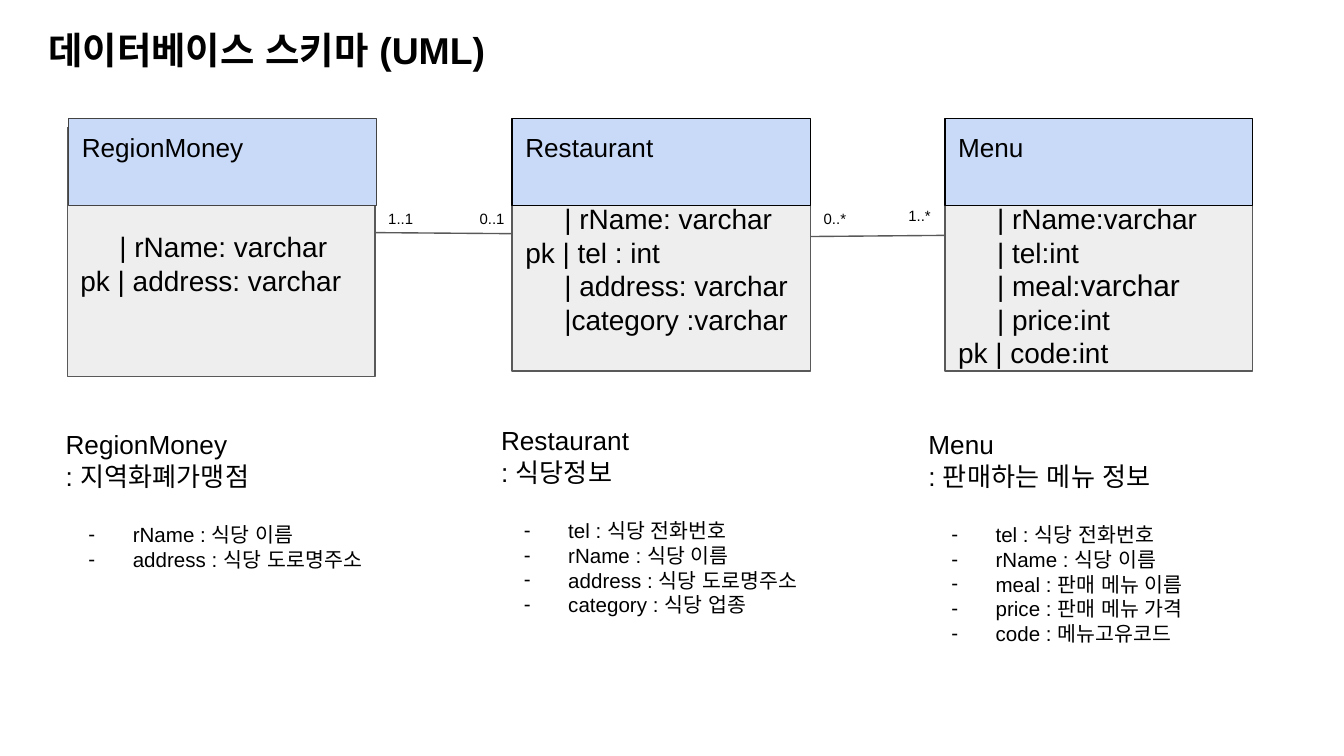
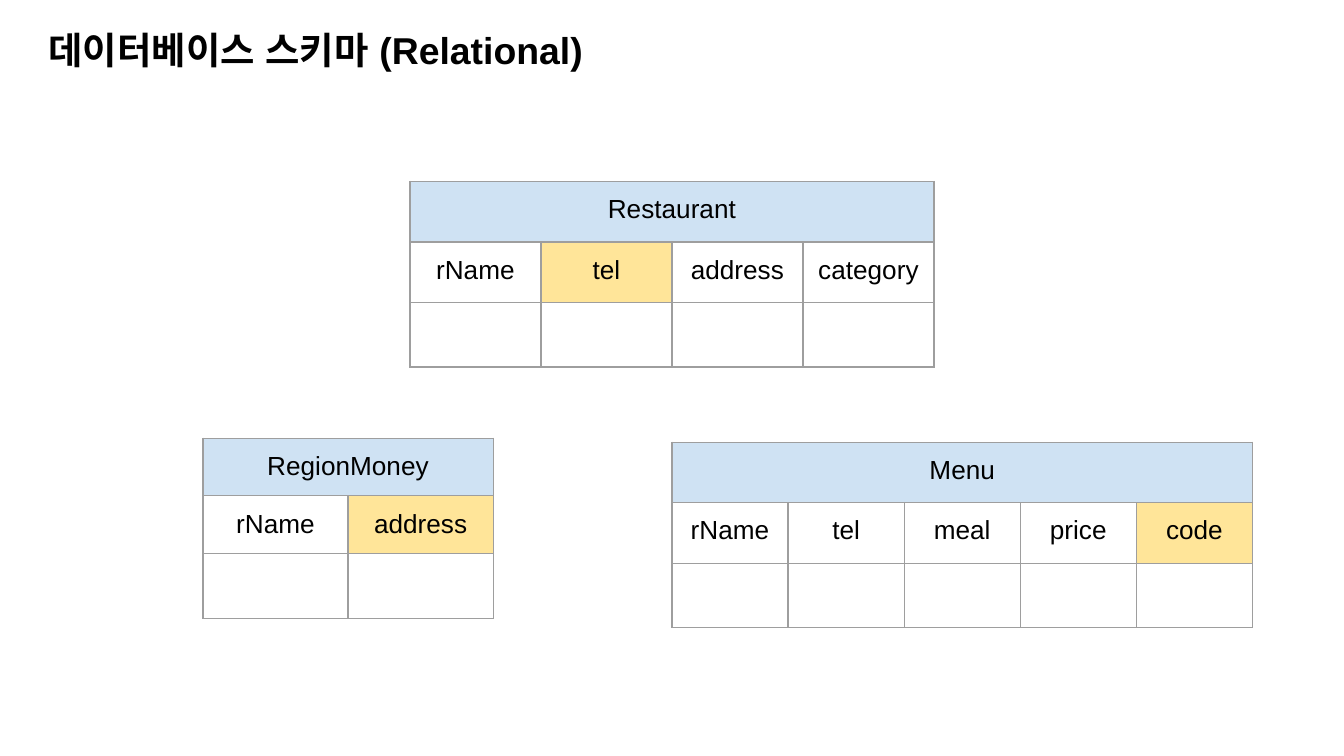
"""Builds two slides on a restaurant database schema: UML and relational."""
from lxml.etree import SubElement
from pptx import Presentation
from pptx.dml.color import RGBColor
from pptx.enum.shapes import MSO_CONNECTOR as Line, MSO_SHAPE as Shape
from pptx.enum.text import MSO_ANCHOR as Anchor, PP_ALIGN as Align
from pptx.oxml.ns import qn
from pptx.util import Inches, Pt

COLORS = {
    "text": "000000", "white": "FFFFFF", "body": "EEEEEE", "body_line": "595959",
    "header": "C9DAF8", "region_line": "434343", "table_header": "CFE2F3",
    "key": "FFE599", "grid": "9E9E9E",
}
RGB = {name: RGBColor.from_string(value) for name, value in COLORS.items()}
MARGINS = {f"margin_{side}": Inches(0.1) for side in ("left", "right", "top", "bottom")}
FRAME = {"word_wrap": True, "vertical_anchor": Anchor.TOP, **MARGINS}


def add_run(paragraph, text, size):
    run = paragraph.add_run()
    run.text = text
    for name, value in {"name": "Arial", "size": Pt(size)}.items():
        setattr(run.font, name, value)
    run.font.color.rgb = RGB["text"]
    SubElement(run.font._element, qn("a:ea"), typeface="Arial")


def add_text(slide, place, lines, size, fill=None, line=None, **changes):
    place = map(Inches, place)
    if fill:
        box = slide.shapes.add_shape(Shape.RECTANGLE, *place)
        box.shadow.inherit = False
        box.fill.solid()
        box.fill.fore_color.rgb = RGB[fill]
        box.line.color.rgb = RGB[line]
        box.line.width = Pt(0.75)
    else:
        box = slide.shapes.add_textbox(*place)
    frame = box.text_frame
    for name, value in {**FRAME, **changes}.items():
        setattr(frame, name, value)
    for index, text in enumerate(lines):
        paragraph = frame.add_paragraph() if index else frame.paragraphs[0]
        paragraph.alignment = Align.LEFT
        add_run(paragraph, text, size)
    return frame.paragraphs


deck = Presentation()
deck.slide_width = Inches(10)
deck.slide_height = deck.slide_width * 9 // 16
uml, relational = [deck.slides.add_slide(deck.slide_layouts[6]) for _ in range(2)]

for slide, kind, width in ((uml, "UML", 4.16), (relational, "Relational", 6.25)):
    title = add_text(slide, (0.26, 0.1, width, 0.58), [f"데이터베이스 스키마 ({kind})"], 20,
                     "white", "white")
    title[0].runs[0].font.bold = True

for ends in ((2.68, 1.73, 3.96, 1.74), (6.03, 1.76, 7.18, 1.75)):
    relation = uml.shapes.add_connector(Line.STRAIGHT, *map(Inches, ends))
    relation.line.color.rgb = RGB["body_line"]
    relation.line.width = Pt(0.75)
    SubElement(relation._element.spPr, qn("a:effectLst"))

entities = [
    ("RegionMoney", (0.5, 0.95, 2.29), 0.51, "region_line", 0.76,
     ["| rName: varchar", "pk | address: varchar"]),
    ("Restaurant", (3.81, 0.91, 2.22), 3.81, "text", 0.59,
     ["| rName: varchar", "pk | tel : int", "| address: varchar", "|category :varchar"]),
    ("Menu", (7.03, 0.91, 2.29), 7.03, "text", 0.59,
     ["| rName:varchar", "| tel:int", "| meal:", "| price:int", "pk | code:int"]),
]
for entity, (left, top, width), header_left, header_line, inset, attributes in entities:
    body = add_text(uml, (left, top, width, 1.85), attributes, 15, "body", "body_line",
                    margin_top=Inches(inset), margin_bottom=0)
    for paragraph in body:
        paragraph.line_spacing = Pt(18)
        if not paragraph.text.startswith("pk"):
            paragraph._p.get_or_add_pPr().set("marL", str(Inches(0.29)))
        if paragraph.text.endswith("meal:"):
            add_run(paragraph, "varchar", 16)
    add_text(uml, (header_left, 0.88, width, 0.65), [entity], 14, "header", header_line)

descriptions = [
    (0.39, 3.09, 1.32, ["RegionMoney", ": 지역화폐가맹점"],
     ["rName : 식당 이름", "address : 식당 도로명주소"]),
    (3.63, 3.06, 1.74, ["Restaurant", ": 식당정보"],
     ["tel : 식당 전화번호", "rName : 식당 이름", "address : 식당 도로명주소", "category : 식당 업종"]),
    (6.81, 3.09, 1.74, ["Menu", ": 판매하는 메뉴 정보"],
     ["tel : 식당 전화번호", "rName : 식당 이름", "meal : 판매 메뉴 이름",
      "price : 판매 메뉴 가격", "code : 메뉴고유코드"]),
]
for left, top, height, heading, fields in descriptions:
    description = add_text(uml, (left, top, 2.57, height), heading + fields, 14)
    field_lines = description[len(heading):]
    field_lines[0].space_before = Pt(16.5)
    for paragraph in field_lines:
        paragraph.runs[0].font.size = Pt(11)
        properties = paragraph._p.get_or_add_pPr()
        properties.set("marL", str(Inches(0.5)))
        properties.set("indent", str(Inches(-0.33)))
        bullet_color = SubElement(properties, qn("a:buClr"))
        SubElement(bullet_color, qn("a:srgbClr"), val=COLORS["text"])
        SubElement(properties, qn("a:buSzPts"), val="1100")
        SubElement(properties, qn("a:buFont"), typeface="Arial")
        SubElement(properties, qn("a:buChar"), char="-")

for multiplicity, left, top in (
        ("0..1", 3.47, 1.46), ("1..1", 2.79, 1.46), ("0..*", 6.03, 1.46), ("1..*", 6.66, 1.44)):
    add_text(uml, (left, top, 0.39, 0.29), [multiplicity], 8, margin_bottom=0)

relations = [
    ("Restaurant", 3.05, 1.35, 3.9, 0.45, ["rName", "tel", "address", "category"], "tel"),
    ("RegionMoney", 1.51, 3.26, 2.16, 0.43, ["rName", "address"], "address"),
    ("Menu", 5, 3.29, 4.32, 0.45, ["rName", "tel", "meal", "price", "code"], "code"),
]
for entity, left, top, width, row_height, fields, key in relations:
    count = len(fields)
    table = relational.shapes.add_table(
        3, count, *map(Inches, (left, top, width, row_height * 3))).table
    table.first_row = table.horz_banding = False
    for row in table.rows:
        row.height = Inches(row_height)
    table.cell(0, 0).merge(table.cell(0, count - 1))
    texts = [entity] + [""] * (count - 1) + fields + [""] * count
    for index, (cell, text) in enumerate(zip(table.iter_cells(), texts)):
        borders = cell._tc.get_or_add_tcPr()
        for side in ("lnL", "lnR", "lnT", "lnB"):
            border = SubElement(borders, qn(f"a:{side}"), w=str(Pt(0.75)))
            SubElement(SubElement(border, qn("a:solidFill")), qn("a:srgbClr"), val=COLORS["grid"])
        if index < count or text == key:
            cell.fill.solid()
            cell.fill.fore_color.rgb = RGB["table_header" if index < count else "key"]
        else:
            cell.fill.background()
        for name, value in MARGINS.items():
            setattr(cell, name, value)
        paragraph = cell.text_frame.paragraphs[0]
        if text:
            paragraph.alignment = Align.CENTER
            add_run(paragraph, text, 14)
        else:
            blank = SubElement(paragraph._p, qn("a:endParaRPr"), sz="1800")
            SubElement(blank, qn("a:latin"), typeface="Arial")

deck.save("out.pptx")
